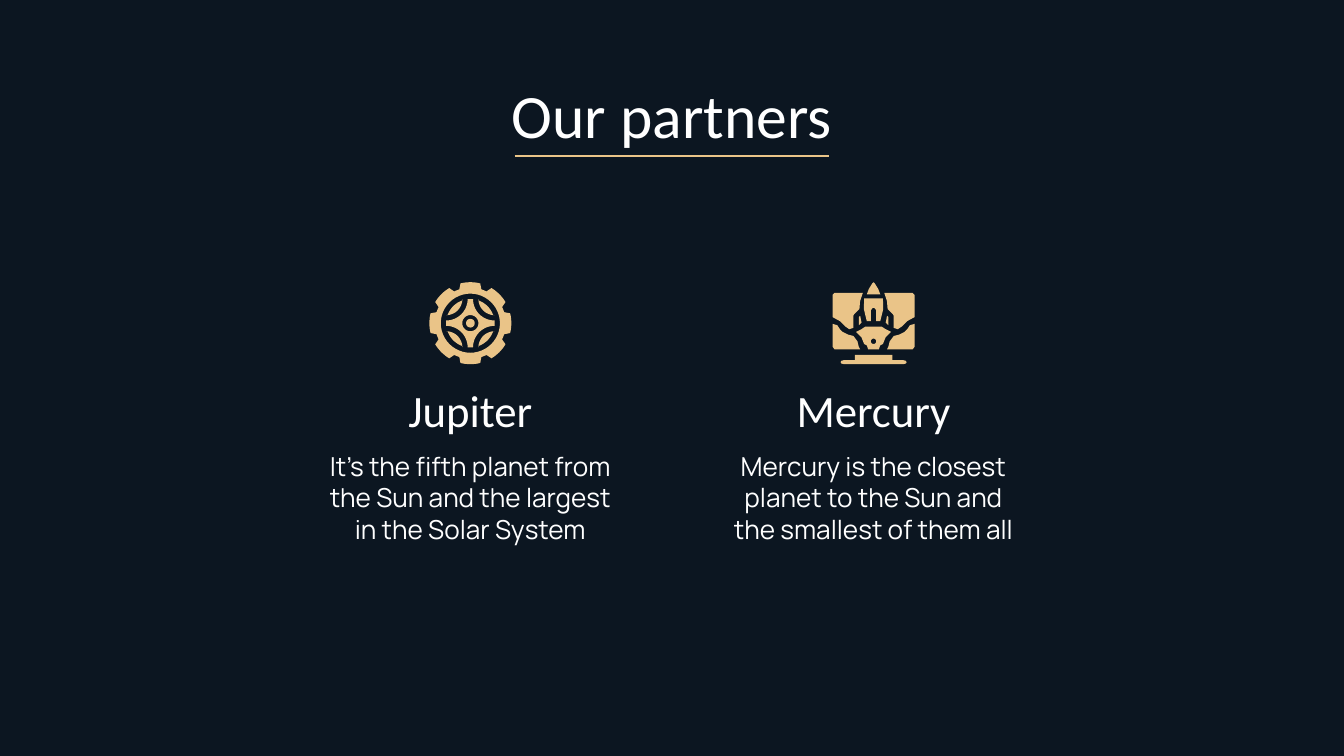
"""Build the partners slide with two icon columns."""
from math import cos, radians, sin

from lxml.etree import SubElement
from pptx import Presentation
from pptx.dml.color import RGBColor
from pptx.enum.shapes import MSO_CONNECTOR as Connector
from pptx.enum.text import MSO_ANCHOR as Anchor, PP_ALIGN as Align
from pptx.oxml.ns import qn
from pptx.util import Inches, Pt

NIGHT = RGBColor(0x0C, 0x16, 0x21)
GOLD = RGBColor(0xEA, 0xC4, 0x88)
WHITE = RGBColor(0xFF, 0xFF, 0xFF)

WIDTH = Inches(10)
HEIGHT = WIDTH * 9 // 16
COLUMN_WIDTH = 0.236 * WIDTH
ICON_TOP = Inches(2.1)
ICON_RADIUS = 30.5
UNIT = Inches(0.01)
FINE = 100

SCREEN_SIDES = [
    [(29, 8), (30.5, 9.5), (30.5, 26), (25, 29), (21, 33), (18, 35), (15, 34),
     (15, 25), (14.5, 24), (10.5, 20), (10, 14), (8, 8)],
    [(30.5, 31), (30.5, 48), (29, 50), (10, 50), (11, 48), (12, 44), (15, 40),
     (19, 39), (21, 38), (23, 37), (25, 35), (27, 32)],
    [(10, 25), (11, 26), (11, 32), (9, 30)],
]
ROCKET_HALVES = [
    [(0, 0), (1, 1), (3.5, 5), (5, 9)],
    [(7, 12), (7.2, 20), (5, 29), (2, 29), (2, 21), (1, 19.5), (0, 19)],
    [(14, 54), (14, 58), (22, 58), (24, 58.5), (24.5, 59.5), (24, 60.5), (22, 61)],
]
PLUME_HALF = [(6, 33), (9, 35), (13, 37), (9, 41), (7, 46), (5, 47), (4, 50)]

PARTNERS = [
    ("Jupiter", "It’s the fifth planet from the Sun and the largest in the Solar System"),
    ("Mercury", "Mercury is the closest planet to the Sun and the smallest of them all"),
]


def arc(radius, start, end, center=(0, 0), steps=16):
    """Return points along a circular arc given in degrees."""
    angles = [radians(start + (end - start) * i / steps) for i in range(steps + 1)]
    return [(center[0] + radius * cos(a), center[1] + radius * sin(a)) for a in angles]


def circle(radius, center=(0, 0)):
    """Return points around a full circle."""
    return arc(radius, 0, 360, center, 48)


def mirrored(half):
    """Return a closed outline from its left half."""
    return [(-x, y) for x, y in half] + half[::-1]


def add_outline(icon, origin, *contours):
    """Draw one gold outline, later contours cutting holes in it."""
    first, *holes = [[(x * FINE, y * FINE) for x, y in c] for c in contours]
    builder = icon.shapes.build_freeform(*first[0], scale=UNIT / FINE)
    builder.add_line_segments(first[1:], close=True)
    for hole in holes:
        builder.move_to(*hole[0])
        builder.add_line_segments(hole[1:], close=True)
    outline = builder.convert_to_shape(*origin)
    outline.fill.solid()
    outline.fill.fore_color.rgb = GOLD
    outline.line.fill.background()
    outline.shadow.inherit = False


def add_gear(slide, center_x):
    """Draw the eight-toothed wheel."""
    icon = slide.shapes.add_group_shape()
    origin = (int(center_x), int(ICON_TOP + ICON_RADIUS * UNIT))
    rim, star = [], []
    for tooth in range(0, 360, 45):
        rim += arc(26.5, tooth - 20, tooth - 18, steps=1)
        rim += arc(ICON_RADIUS, tooth - 14, tooth + 14)
        rim += arc(26.5, tooth + 18, tooth + 20, steps=1)
    for turn in range(0, 360, 90):
        corner = arc(18 * 2 ** 0.5, 45 + turn, 45 + turn, steps=1)[0]
        star += arc(16, 270 + turn, 180 + turn, corner)
        lens = arc(12, 270 + turn, 180 + turn, corner) + arc(18, 70 + turn, 20 + turn)
        add_outline(icon, origin, lens)
    add_outline(icon, origin, circle(3.2))
    add_outline(icon, origin, star, circle(6))
    add_outline(icon, origin, rim, circle(22))


def add_launch_screen(slide, center_x):
    """Draw the monitor with a rocket taking off."""
    icon = slide.shapes.add_group_shape()
    origin = (int(center_x), ICON_TOP)
    for side in SCREEN_SIDES:
        for sign in (-1, 1):
            add_outline(icon, origin, [(sign * x, y) for x, y in side])
    for half in ROCKET_HALVES:
        add_outline(icon, origin, mirrored(half))
    add_outline(icon, origin, mirrored(PLUME_HALF), circle(2, (0, 44)))


def write(holder, text, size, font):
    """Put one centred white run into a text holder."""
    frame = holder.text_frame
    frame.word_wrap = True
    frame.vertical_anchor = Anchor.MIDDLE
    frame.margin_left = frame.margin_right = Inches(0.1)
    frame.margin_top = frame.margin_bottom = Inches(0.1)
    paragraph = frame.paragraphs[0]
    paragraph.alignment = Align.CENTER
    run = paragraph.add_run()
    run.text = text
    run.font.size = Pt(size)
    run.font.name = font
    run.font.color.rgb = WHITE


def add_title(slide, text):
    """Place the title and the rule beneath it."""
    title = slide.shapes.title
    title.left, title.top = Inches(0.78), Inches(0.59)
    title.width, title.height = WIDTH - 2 * Inches(0.78), Inches(0.52)
    write(title, text, 33, "Calibri")
    rule = slide.shapes.add_connector(
        Connector.STRAIGHT, Inches(3.83), Inches(1.16), WIDTH - Inches(3.83), Inches(1.16))
    rule.line.color.rgb = GOLD
    rule.line.width = Pt(0.75)
    SubElement(rule._element.spPr, qn("a:effectLst"))


def add_partner(slide, center_x, name, description):
    """Write a partner's name and description under its icon."""
    left = int(center_x - COLUMN_WIDTH / 2)
    rows = [(name, 2.86, 0.37, 24, "Calibri"), (description, 3.31, 0.78, 14, "Manrope")]
    for text, top, height, size, font in rows:
        box = slide.shapes.add_textbox(left, Inches(top), int(COLUMN_WIDTH), Inches(height))
        write(box, text, size, font)


def main():
    """Build and save the slide."""
    deck = Presentation()
    deck.slide_width, deck.slide_height = WIDTH, HEIGHT
    slide = deck.slides.add_slide(deck.slide_layouts[5])
    slide.background.fill.solid()
    slide.background.fill.fore_color.rgb = NIGHT
    add_title(slide, "Our partners")
    centers = [0.35 * WIDTH, 0.65 * WIDTH]
    for draw_icon, center_x, partner in zip((add_gear, add_launch_screen), centers, PARTNERS):
        draw_icon(slide, center_x)
        add_partner(slide, center_x, *partner)
    deck.save("out.pptx")


if __name__ == "__main__":
    main()
